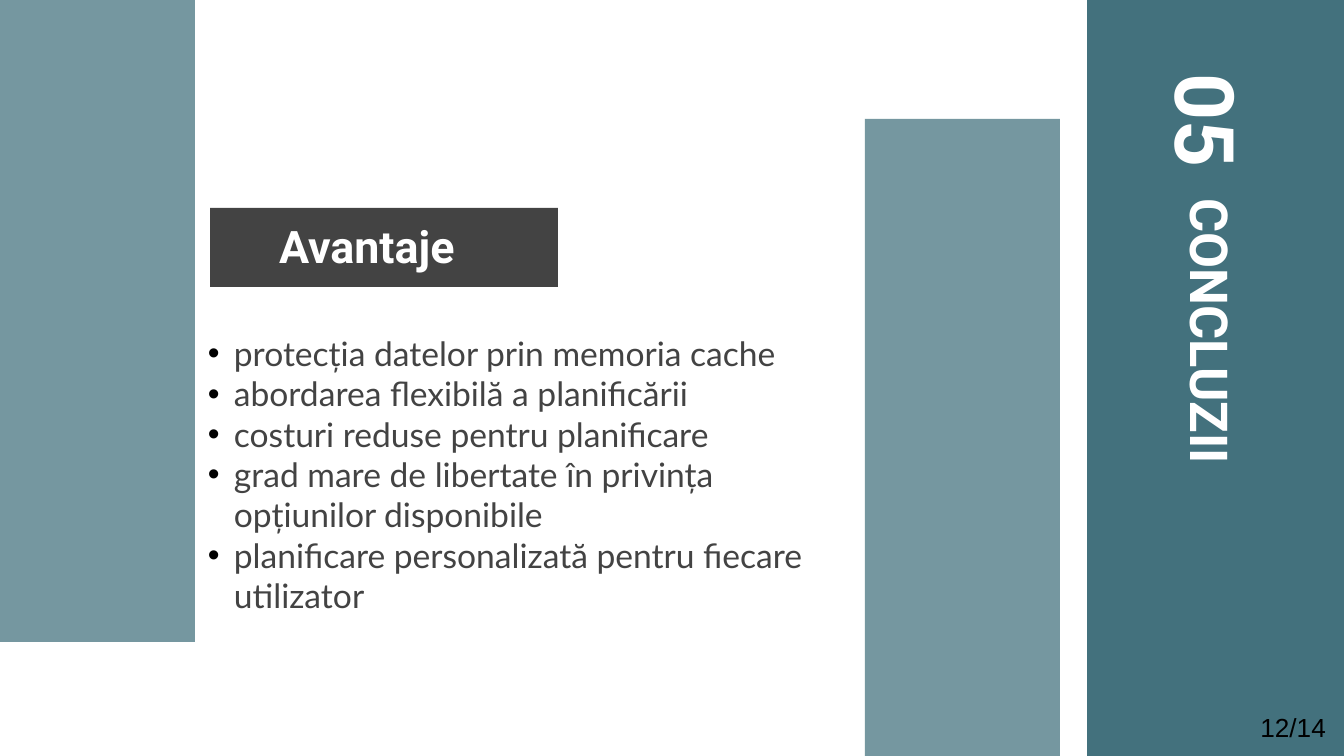
from lxml import etree
from pptx import Presentation
from pptx import util as u
from pptx.dml.color import RGBColor
from pptx.enum import shapes, text
from pptx.oxml.ns import qn

PX = 914400 / 134.4
WIDTH, HEIGHT = 1344, 756
INSET = 13
COLORS = {"teal": "43717D", "dark": "434343", "white": "FFFFFF", "black": "000000"}
ADVANTAGES = [
    "protecția datelor prin memoria cache",
    "abordarea flexibilă a planificării",
    "costuri reduse pentru planificare",
    "grad mare de libertate în privința opțiunilor disponibile",
    "planificare personalizată pentru fiecare utilizator",
]


def px(length):
    return u.Emu(round(length * PX))


def rgb(color):
    return RGBColor.from_string(COLORS[color])


def add_panel(slide, box, color, opacity=100, outlined=False):
    panel = slide.shapes.add_shape(shapes.MSO_SHAPE.RECTANGLE, *map(px, box))
    panel.shadow.inherit = False
    panel.fill.solid()
    panel.fill.fore_color.rgb = rgb(color)
    if opacity < 100:
        tint = panel.fill._xPr.find(qn("a:solidFill"))[0]
        etree.SubElement(tint, qn("a:alpha")).set("val", str(opacity * 1000))
    if outlined:
        panel.line.color.rgb = rgb(color)
        panel.line.width = u.Pt(0.75)
    else:
        panel.line.fill.background()


def add_bullet(paragraph, indent):
    properties = paragraph._p.get_or_add_pPr()
    properties.set("marL", str(px(indent)))
    properties.set("indent", str(-px(indent)))
    bullet_color = etree.SubElement(properties, qn("a:buClr"))
    etree.SubElement(bullet_color, qn("a:srgbClr")).set("val", COLORS["black"])
    etree.SubElement(properties, qn("a:buFont")).set("typeface", "Arial")
    etree.SubElement(properties, qn("a:buChar")).set("char", "•")


def write(slide, box, lines, holder=None, size=18, font="Roboto", color="white", bold=False,
          align=text.PP_ALIGN.LEFT, anchor=text.MSO_ANCHOR.TOP, rotation=0, bullet_indent=0):
    place = [px(length) for length in box]
    if holder is None:
        holder = slide.shapes.add_textbox(*place)
    holder.left, holder.top, holder.width, holder.height = place
    holder.rotation = rotation
    frame = holder.text_frame
    frame.word_wrap = True
    frame.auto_size = text.MSO_AUTO_SIZE.NONE
    frame.vertical_anchor = anchor
    frame.margin_left = frame.margin_right = px(INSET)
    frame.margin_top = frame.margin_bottom = px(INSET)
    frame.text = "\n".join(lines)
    for paragraph in frame.paragraphs:
        paragraph.alignment = align
        if bullet_indent:
            add_bullet(paragraph, bullet_indent)
        for run in paragraph.runs:
            run.font.name = font
            run.font.size = u.Pt(size)
            run.font.bold = bold
            run.font.color.rgb = rgb(color)


def add_advantages(slide, box):
    left, top, width, height = box
    add_panel(slide, (left + 15, top, 348, 79), "dark")
    title = slide.shapes.title
    slide.shapes._spTree.append(title._element)
    write(slide, (left + 71, top + 22, 327, 56), ["Avantaje"], holder=title,
          size=24, bold=True, anchor=text.MSO_ANCHOR.BOTTOM)
    write(slide, (left, top + 112, width, height - 112), ADVANTAGES,
          font="Lato", color="dark", bullet_indent=26)


def add_chapter_band(slide, box):
    left, top, width, height = box
    add_panel(slide, box, "teal", outlined=True)
    write(slide, (left - 198, top + 462, 638, 85), ["CONCLUZII"], size=28, bold=True,
          anchor=text.MSO_ANCHOR.BOTTOM, rotation=90)
    write(slide, (left - 7, top + 11, 255, 85), ["05"], size=44, bold=True,
          align=text.PP_ALIGN.RIGHT, anchor=text.MSO_ANCHOR.MIDDLE, rotation=90)
    write(slide, (left + width - 129, top + height - 58, 124, 58), ["12/14"], size=14,
          font="Arial", color="black", align=text.PP_ALIGN.RIGHT)


def main():
    deck = Presentation()
    deck.slide_width, deck.slide_height = px(WIDTH), px(HEIGHT)
    slide = deck.slides.add_slide(deck.slide_layouts[5])
    for left, top in ((865, 119), (0, 0)):
        add_panel(slide, (left, top, 195, 642), "teal", opacity=73)
    add_advantages(slide, (195, 208, 668, 434))
    add_chapter_band(slide, (1088, 0, 256, HEIGHT))
    deck.save("out.pptx")


if __name__ == "__main__":
    main()
